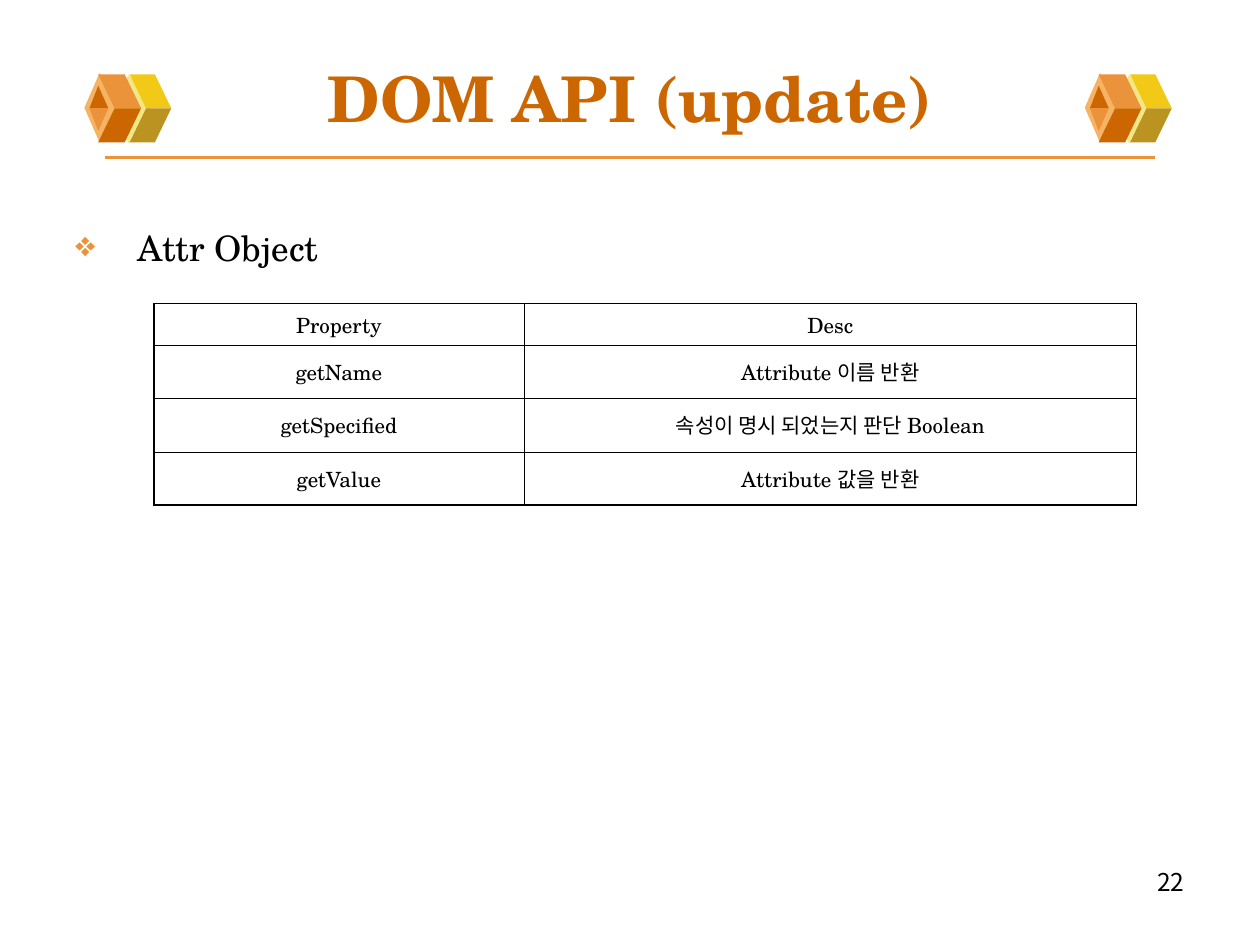
from dataclasses import dataclass

from lxml.etree import SubElement
from pptx import Presentation
from pptx.dml.color import RGBColor
from pptx.enum.shapes import MSO_CONNECTOR as Connector, MSO_SHAPE as Preset
from pptx.enum.text import MSO_ANCHOR as Anchor, PP_ALIGN as Align
from pptx.oxml import parse_xml
from pptx.oxml.ns import nsdecls, qn
from pptx.util import Inches, Pt


@dataclass(frozen=True)
class Theme:
    serif: str = "TeX Gyre Schola"
    sans: str = "Noto Sans CJK KR"
    ink: str = "000000"
    accent: str = "CC6600"
    orange: str = "EB933B"
    peach: str = "F5B363"
    cream: str = "F1E785"
    yellow: str = "F3C917"
    olive: str = "BB9321"
    title_size: float = 36
    body_size: float = 20
    page_size: float = 14
    cell_size: float = 12
    outer_border: float = 1.08
    inner_border: float = 0.45


THEME = Theme()
EMBLEM_LEFTS = (0.67, 8.61)
EMBLEM_TOP = 0.59
TABLE_ROWS = (
    ("Property", "Desc"),
    ("getName", "Attribute 이름 반환"),
    ("getSpecified", "속성이 명시 되었는지 판단 Boolean"),
    ("getValue", "Attribute 값을 반환"),
)
COLUMN_WIDTHS = (2.94, 4.86)
ROW_HEIGHTS = (0.33, 0.42, 0.43, 0.42)


def rgb(color):
    return RGBColor.from_string(color)


def format_text(paragraph, size, color=THEME.ink, font=THEME.serif, bold=False):
    for run in paragraph.runs:
        run.font.size = Pt(size)
        run.font.name = font
        run.font.bold = bold
        run.font.color.rgb = rgb(color)
        SubElement(run.font._element, qn("a:ea"), typeface=THEME.sans)


def paint(shape, color):
    shape.shadow.inherit = False
    shape.fill.solid()
    shape.fill.fore_color.rgb = rgb(color)
    shape.line.fill.background()


def add_diamond(slide, left, top, width, height, color):
    box = map(Inches, (left, top, width, height))
    paint(slide.shapes.add_shape(Preset.DIAMOND, *box), color)


def add_facet(slide, corners, color):
    start, *rest = [(Inches(x), Inches(y)) for x, y in corners]
    outline = slide.shapes.build_freeform(*start)
    outline.add_line_segments(rest, close=True)
    paint(outline.convert_to_shape(), color)


def add_emblem(slide, left, top):
    """Draw two boxes seen edge-on, each mirrored about its middle line."""
    middle = top + 0.27

    def add_mirrored_pair(points, upper, lower):
        """Points are offsets from the left edge and the middle line."""
        for direction, color in ((-1, upper), (1, lower)):
            corners = [(left + x, middle + direction * y) for x, y in points]
            add_facet(slide, corners, color)

    def add_sides(x, width, upper, lower):
        points = ((x + 0.13, 0), (x + 0.13 + width, 0), (x + width, 0.27), (x, 0.27))
        add_mirrored_pair(points, upper, lower)

    add_diamond(slide, left + 0.19, top, 0.33, 0.55, THEME.cream)
    add_sides(0.36, 0.2, THEME.yellow, THEME.olive)
    add_diamond(slide, left, top - 0.01, 0.24, 0.55, THEME.peach)
    add_sides(0.11, 0.21, THEME.orange, THEME.accent)
    add_mirrored_pair(((0.04, 0), (0.19, 0), (0.11, 0.18)), THEME.accent, THEME.orange)


def add_rule(slide, left, right, y):
    ends = map(Inches, (left, y, right, y))
    rule = slide.shapes.add_connector(Connector.STRAIGHT, *ends)
    rule.line.color.rgb = rgb(THEME.orange)
    rule.line.width = Pt(2.25)
    SubElement(rule._element.spPr, qn("a:effectLst"))


def set_title(slide, text):
    title = slide.shapes.title
    title.left, title.top = Inches(0.5), Inches(0.3)
    title.width, title.height = Inches(9), Inches(0.95)
    frame = title.text_frame
    frame.text = text
    frame.vertical_anchor = Anchor.MIDDLE
    frame.paragraphs[0].alignment = Align.CENTER
    format_text(frame.paragraphs[0], THEME.title_size, THEME.accent, bold=True)


def add_text(slide, text, left, top, width, height):
    box = slide.shapes.add_textbox(*map(Inches, (left, top, width, height)))
    box.text_frame.word_wrap = True
    box.text_frame.text = text
    return box.text_frame.paragraphs[0]


def add_bullet(slide, text):
    paragraph = add_text(slide, text, 0.5, 1.75, 8.99, 4.95)
    paragraph.space_before = Pt(5)
    format_text(paragraph, THEME.body_size)
    properties = paragraph._p.get_or_add_pPr()
    properties.set("marL", str(Inches(0.49)))
    properties.set("indent", str(Inches(-0.49)))
    bullet_color = SubElement(properties, qn("a:buClr"))
    SubElement(bullet_color, qn("a:srgbClr"), val=THEME.orange)
    SubElement(properties, qn("a:buChar"), char="❖")


def add_page_number(slide, number):
    paragraph = add_text(slide, number, 7.17, 6.83, 2.33, 0.3)
    paragraph.alignment = Align.RIGHT
    format_text(paragraph, THEME.page_size, font=THEME.sans)


def set_borders(cell, outer_sides):
    properties = cell._tc.get_or_add_tcPr()
    for position, side in enumerate("LRTB"):
        width = THEME.outer_border if side in outer_sides else THEME.inner_border
        border = parse_xml(
            f'<a:ln{side} {nsdecls("a")} w="{Pt(width)}"><a:solidFill>'
            f'<a:srgbClr val="{THEME.ink}"/></a:solidFill></a:ln{side}>'
        )
        properties.insert(position, border)


def fill_cell(cell, text):
    cell.fill.background()
    cell.vertical_anchor = Anchor.MIDDLE
    cell.text_frame.text = text
    paragraph = cell.text_frame.paragraphs[0]
    paragraph.alignment = Align.CENTER
    paragraph.space_before = Pt(3)
    format_text(paragraph, THEME.cell_size)


def add_property_table(slide):
    last_row, last_column = len(TABLE_ROWS) - 1, len(COLUMN_WIDTHS) - 1
    box = map(Inches, (1.22, 2.41, sum(COLUMN_WIDTHS), sum(ROW_HEIGHTS)))
    table = slide.shapes.add_table(last_row + 1, last_column + 1, *box).table
    table.first_row = table.horz_banding = False
    for column, width in zip(table.columns, COLUMN_WIDTHS):
        column.width = Inches(width)
    for r, (texts, height) in enumerate(zip(TABLE_ROWS, ROW_HEIGHTS)):
        table.rows[r].height = Inches(height)
        for c, text in enumerate(texts):
            cell = table.cell(r, c)
            fill_cell(cell, text)
            edges = {"L": c == 0, "R": c == last_column, "T": r == 0, "B": r == last_row}
            set_borders(cell, [side for side, is_outer in edges.items() if is_outer])


def main():
    deck = Presentation()
    deck.slide_width, deck.slide_height = Inches(10), Inches(7.5)
    slide = deck.slides.add_slide(deck.slide_layouts.get_by_name("Title Only"))
    add_rule(slide, 0.83, 9.17, 1.25)
    for left in EMBLEM_LEFTS:
        add_emblem(slide, left, EMBLEM_TOP)
    add_page_number(slide, "22")
    set_title(slide, "DOM API (update)")
    add_bullet(slide, "Attr Object")
    add_property_table(slide)
    deck.save("out.pptx")


if __name__ == "__main__":
    main()
